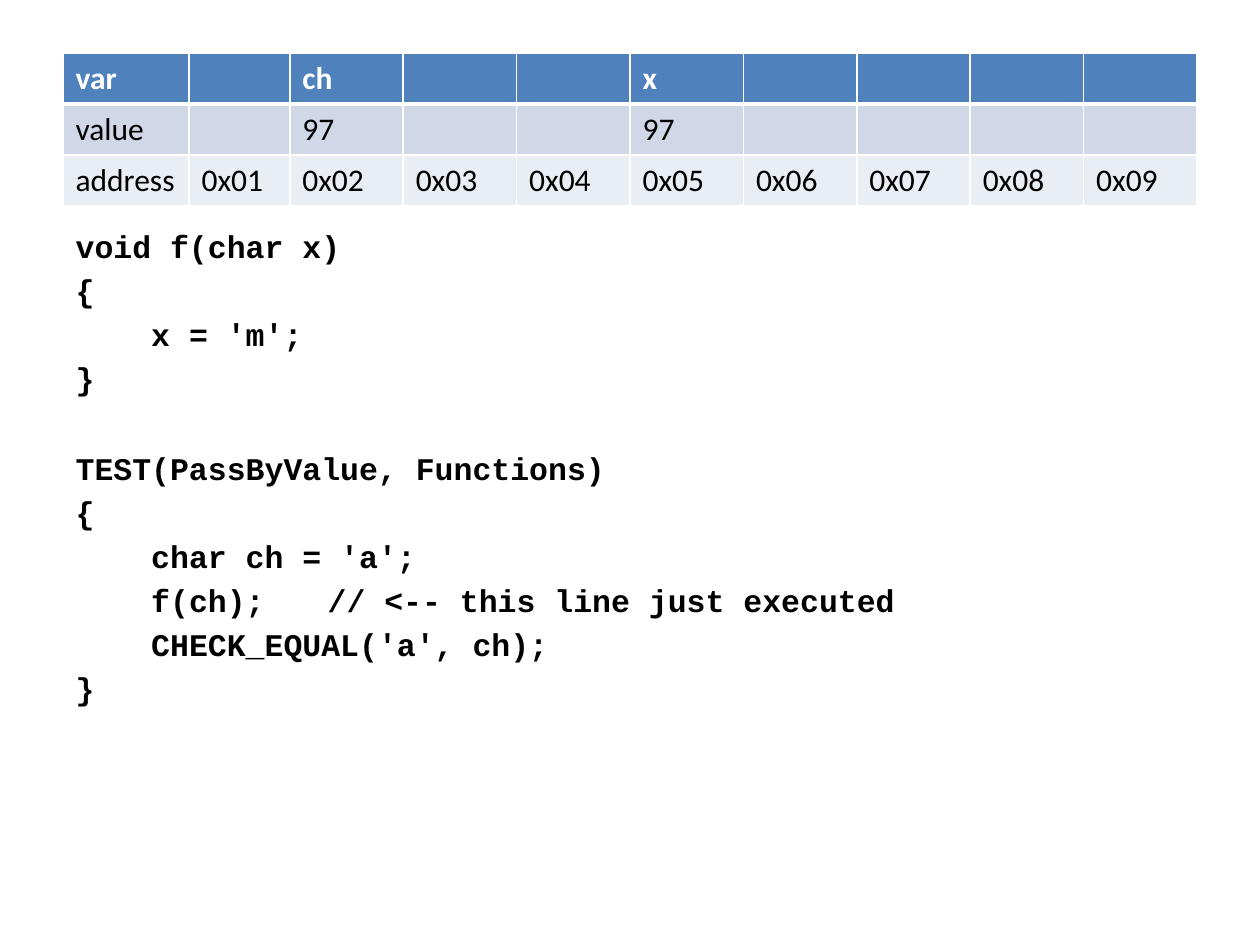
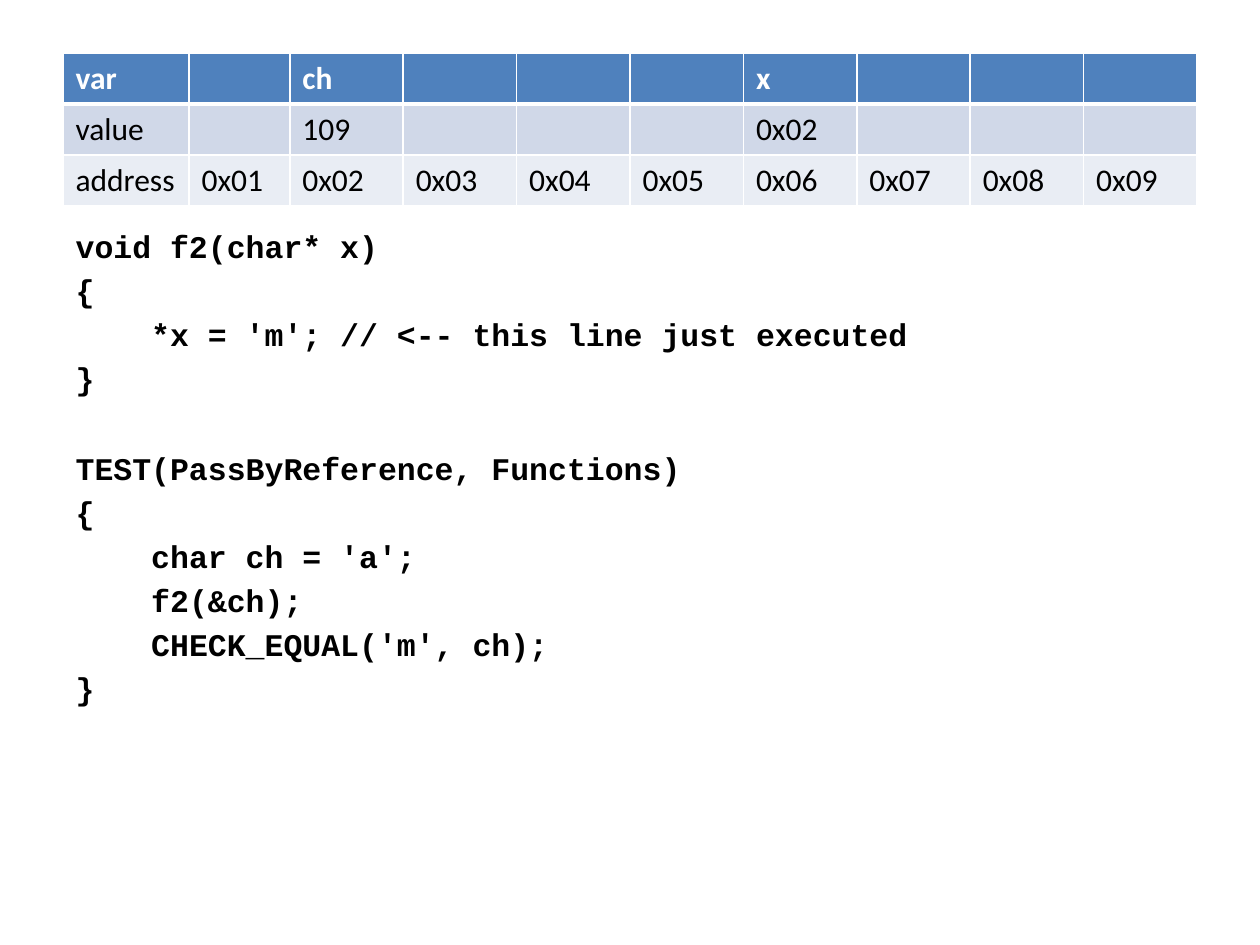
from lxml.etree import SubElement
from pptx import Presentation
from pptx.dml.color import RGBColor
from pptx.oxml import parse_xml
from pptx.oxml.ns import nsdecls, qn
from pptx.util import Inches, Pt

WHITE = RGBColor(0xFF, 0xFF, 0xFF)
BLACK = RGBColor(0, 0, 0)
HEADER = RGBColor(0x4F, 0x81, 0xBD)
BAND_DARK = RGBColor(0xD0, 0xD8, 0xE8)
BAND_LIGHT = RGBColor(0xE9, 0xED, 0xF4)
ROW_FILLS = [HEADER, BAND_DARK, BAND_LIGHT]

TABLE_FONT, CODE_FONT = "Calibri", "Courier New"
FONT_SIZE = Pt(18)
LEFT, WIDTH = 0.5, 9
TABLE_TOP, ROW_H = 0.42, 0.405
COL_WIDTHS = [1, 0.8] + [0.9] * 8
CODE_TOP, CODE_H = 1.75, 4.95
CHAR_W = 0.15
INDENT = 4 * CHAR_W
COMMENT_TAB = 21 * CHAR_W
BLOCK_GAP = Pt(29.5)

ADDRESSES = [f"0x{n:02}" for n in range(1, 10)]

SLIDES = [
    {
        "memory": {"0x02": ("ch", "97"), "0x05": ("x", "97")},
        "code": [
            ["void f(char x)", "{", (1, "x = 'm';"), "}"],
            ["TEST(PassByValue, Functions)", "{",
             (1, "char ch = 'a';"),
             (1, "f(ch);\t// <-- this line just executed"),
             (1, "CHECK_EQUAL('a', ch);"), "}"],
        ],
    },
    {
        "memory": {"0x02": ("ch", "109"), "0x06": ("x", "0x02")},
        "code": [
            ["void f2(char* x)", "{",
             (1, "*x = 'm'; // <-- this line just executed"), "}"],
            ["TEST(PassByReference, Functions)", "{",
             (1, "char ch = 'a';"),
             (1, "f2(&ch);"),
             (1, "CHECK_EQUAL('m', ch);"), "}"],
        ],
    },
]


def style_runs(p, font, color, bold):
    for r in p.runs:
        r.font.name = font
        r.font.size = FONT_SIZE
        r.font.bold = bold
        r.font.color.rgb = color


def set_borders(cell, top, bottom):
    tcPr = cell._tc.get_or_add_tcPr()
    sides = [("L", 1), ("R", 1), ("T", top), ("B", bottom)]
    for i, (side, width) in enumerate(sides):
        tcPr.insert(i, parse_xml(
            f'<a:ln{side} {nsdecls("a")} w="{Pt(width)}"><a:solidFill>'
            f'<a:srgbClr val="{WHITE}"/></a:solidFill></a:ln{side}>'))


def add_code(s, blocks):
    body = s.placeholders[1]
    body.left, body.top = Inches(LEFT), Inches(CODE_TOP)
    body.width, body.height = Inches(WIDTH), Inches(CODE_H)
    tf = body.text_frame
    lines = [(b, i, line) for b, block in enumerate(blocks)
             for i, line in enumerate(block)]
    for n, (b, i, line) in enumerate(lines):
        level, text = line if isinstance(line, tuple) else (0, line)
        p = tf.add_paragraph() if n else tf.paragraphs[0]
        p.text = text
        if b and i == 0:
            p.space_before = BLOCK_GAP
        pPr = p._p.get_or_add_pPr()
        pPr.set("marL", "0")
        pPr.set("indent", str(Inches(level * INDENT)))
        SubElement(pPr, qn("a:buNone"))
        if "\t" in text:
            tabs = SubElement(pPr, qn("a:tabLst"))
            SubElement(tabs, qn("a:tab"), pos=str(Inches(COMMENT_TAB)), algn="l")
        style_runs(p, CODE_FONT, BLACK, True)


def add_memory_table(s, memory):
    cells = [memory.get(a, ("", "")) for a in ADDRESSES]
    rows = [["var"] + [name for name, _ in cells],
            ["value"] + [value for _, value in cells],
            ["address"] + ADDRESSES]
    table = s.shapes.add_table(
        len(rows), len(COL_WIDTHS), Inches(LEFT), Inches(TABLE_TOP),
        Inches(WIDTH), Inches(ROW_H * len(rows))).table
    for col, width in zip(table.columns, COL_WIDTHS):
        col.width = Inches(width)
    for r, row in enumerate(rows):
        table.rows[r].height = Inches(ROW_H)
        for c, text in enumerate(row):
            cell = table.cell(r, c)
            cell.fill.solid()
            cell.fill.fore_color.rgb = ROW_FILLS[r]
            set_borders(cell, 3 if r == 1 else 1, 3 if r == 0 else 1)
            if text:
                p = cell.text_frame.paragraphs[0]
                p.text = text
                style_runs(p, TABLE_FONT, BLACK if r else WHITE, r == 0)


prs = Presentation()
prs.slide_width, prs.slide_height = Inches(10), Inches(7.5)
for content in SLIDES:
    s = prs.slides.add_slide(prs.slide_layouts[1])
    title = s.shapes.title._element
    title.getparent().remove(title)
    add_code(s, content["code"])
    add_memory_table(s, content["memory"])
prs.save("out.pptx")
